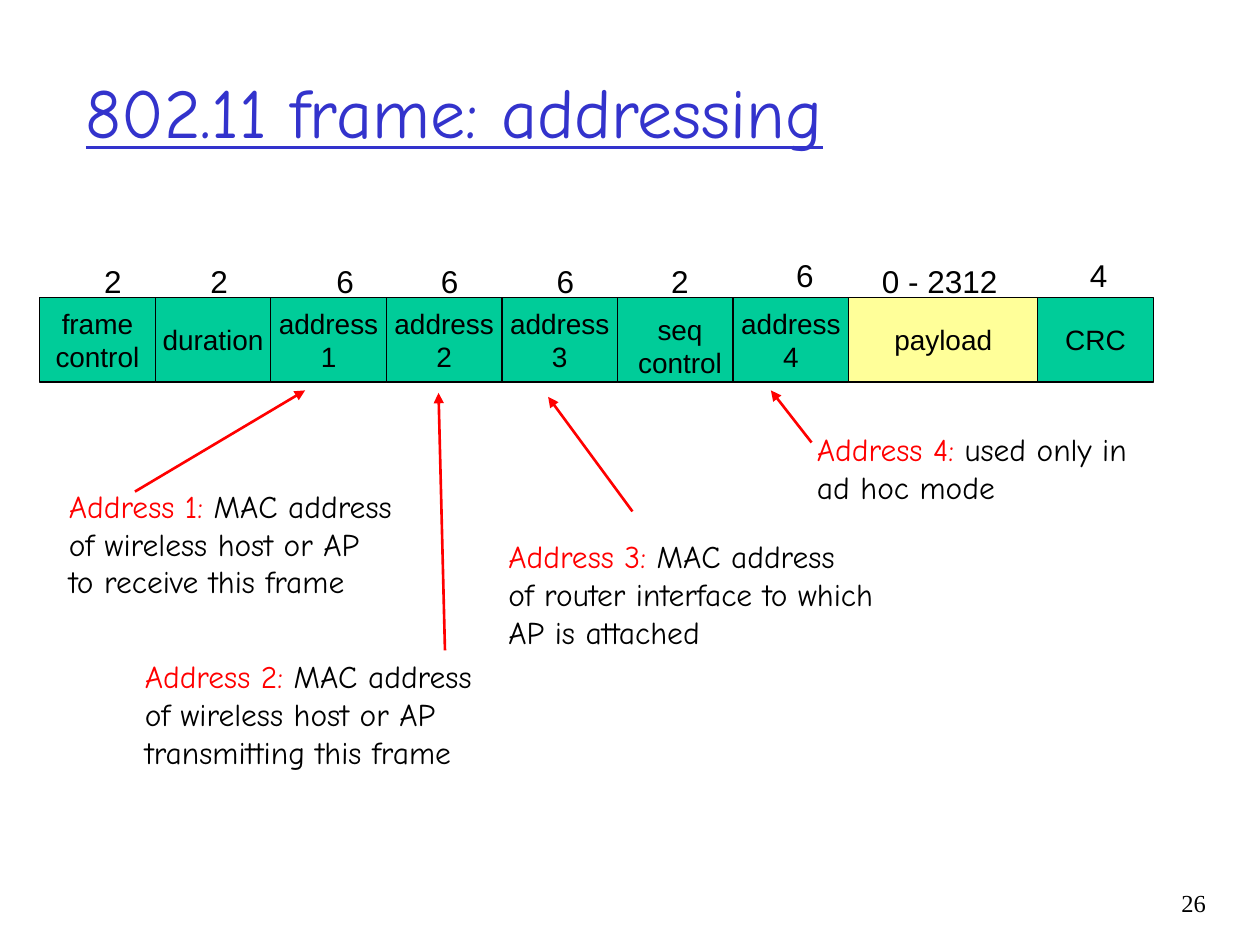
import pptx
import pptx.dml.color
import pptx.enum.shapes
import pptx.enum.text
import pptx.oxml
import pptx.oxml.ns
import pptx.util
from dataclasses import dataclass

Cm = pptx.util.Cm
Pt = pptx.util.Pt
RGB = pptx.dml.color.RGBColor.from_string
ALIGN = pptx.enum.text.PP_ALIGN
ANCHOR = pptx.enum.text.MSO_ANCHOR


@dataclass(frozen=True)
class Theme:
    ink: str = "000000"
    title: str = "3333CC"
    accent: str = "FF0000"
    header: str = "00CC99"
    payload: str = "FFFF99"
    sans: str = "Arial"
    hand: str = "Comic Neue"
    serif: str = "Times New Roman"
    title_size: int = 40
    body_size: int = 18
    field_size: int = 16
    number_size: int = 14


theme = Theme()


def write(sp, text, font=theme.hand, size=theme.body_size, color=theme.ink, lead="",
          align=ALIGN.LEFT, anchor=ANCHOR.TOP, wrap=False, grow=False, underline=False):
    """Fill a shape with one paragraph per line, after an optional accent-coloured lead."""
    tf = sp.text_frame
    tf.word_wrap = wrap
    tf.vertical_anchor = anchor
    if grow:
        tf.auto_size = pptx.enum.text.MSO_AUTO_SIZE.SHAPE_TO_FIT_TEXT
    for i, line in enumerate(text.split("\n")):
        p = tf.paragraphs[0] if i == 0 else tf.add_paragraph()
        p.alignment = align
        runs = [(line, color)]
        if lead and i == 0:
            runs.insert(0, (lead, theme.accent))
        for words, run_color in runs:
            r = p.add_run()
            r.text = words
            r.font.name = font
            r.font.size = Pt(size)
            r.font.color.rgb = RGB(run_color)
            if underline:
                r.font.underline = True


prs = pptx.Presentation()
prs.slide_width, prs.slide_height = Cm(25.4), Cm(19.05)
s = prs.slides.add_slide(prs.slide_layouts[6])

# Frame fields, laid end to end; the sequence control label sits lower than the others
FIELD_TOP, FIELD_HEIGHT = 6, 1.7
FIELD_WIDTH, PAYLOAD_WIDTH = 2.33, 3.81
fields = ["frame\ncontrol", "duration", "address\n1", "address\n2", "address\n3",
          "", "address\n4", "payload", "CRC"]
left = 0.8
for name in fields:
    is_payload = name == "payload"
    width = PAYLOAD_WIDTH if is_payload else FIELD_WIDTH
    sp = s.shapes.add_shape(pptx.enum.shapes.MSO_SHAPE.RECTANGLE,
                            Cm(left), Cm(FIELD_TOP), Cm(width), Cm(FIELD_HEIGHT))
    sp.shadow.inherit = False
    sp.fill.solid()
    sp.fill.fore_color.rgb = RGB(theme.payload if is_payload else theme.header)
    sp.line.color.rgb = RGB(theme.ink)
    sp.line.width = Pt(0.75)
    if name:
        write(sp, name, font=theme.sans, size=theme.field_size,
              align=ALIGN.CENTER, anchor=ANCHOR.MIDDLE)
    left += width

sp = s.shapes.add_textbox(Cm(12.56), Cm(6.17), Cm(2.3), Cm(1.63))
write(sp, "seq\ncontrol", font=theme.sans, size=theme.field_size,
      align=ALIGN.CENTER, grow=True)

# Field lengths in bytes
LOW, HIGH = 5.16, 5.03
lengths = [("2", 1.85, LOW), ("2", 3.99, LOW), ("6", 6.53, LOW), ("6", 8.64, LOW),
           ("6", 10.97, LOW), ("2", 13.28, LOW), ("6", 15.8, HIGH),
           ("0 - 2312", 17.53, LOW), ("4", 21.72, HIGH)]
for text, left, top in lengths:
    width = 0.88 if len(text) == 1 else 2.9
    sp = s.shapes.add_textbox(Cm(left), Cm(top), Cm(width), Cm(1.02))
    write(sp, text, font=theme.sans, grow=True)

sp = s.shapes.add_textbox(Cm(1.48), Cm(0.64), Cm(21.59), Cm(3.18))
write(sp, "802.11 frame: addressing", size=theme.title_size, color=theme.title,
      anchor=ANCHOR.MIDDLE, wrap=True, underline=True)

# Each note: lead, text, box, wrap, arrow start, arrow end
notes = [
    ("Address 1:", " MAC address\nof wireless host or AP\nto receive this frame",
     (1.14, 9.69, 7.04, 2.54), False, (2.72, 9.91), (6.15, 7.87)),
    ("Address 2:", " MAC address\nof wireless host or AP\ntransmitting this frame",
     (2.67, 13.12, 7.11, 2.54), False, (8.97, 13.11), (8.84, 7.92)),
    ("Address 3:", " MAC address\nof router interface to which AP is attached",
     (10, 10.7, 8.48, 2.54), True, (12.75, 10.31), (11.05, 8)),
    ("Address 4:", " used only in ad hoc mode",
     (16.22, 8.54, 7.24, 1.78), True, (16.36, 8.92), (15.54, 7.87)),
]
for lead, text, box, wrap, start, end in notes:
    sp = s.shapes.add_textbox(*map(Cm, box))
    write(sp, text, lead=lead, wrap=wrap, grow=True)
    arrow = s.shapes.add_connector(pptx.enum.shapes.MSO_CONNECTOR.STRAIGHT,
                                   *map(Cm, start + end))
    arrow.line.color.rgb = RGB(theme.accent)
    arrow.line.width = Pt(1.5)
    tail = pptx.oxml.parse_xml(
        '<a:tailEnd %s type="triangle"/>' % pptx.oxml.ns.nsdecls("a"))
    arrow.line._get_or_add_ln().append(tail)
    no_shadow = pptx.oxml.parse_xml("<a:effectLst %s/>" % pptx.oxml.ns.nsdecls("a"))
    arrow._element.spPr.append(no_shadow)

sp = s.shapes.add_textbox(Cm(22.68), Cm(17.78), Cm(1.88), Cm(1.27))
write(sp, "26", font=theme.serif, size=theme.number_size, align=ALIGN.RIGHT, wrap=True)

prs.save("out.pptx")
